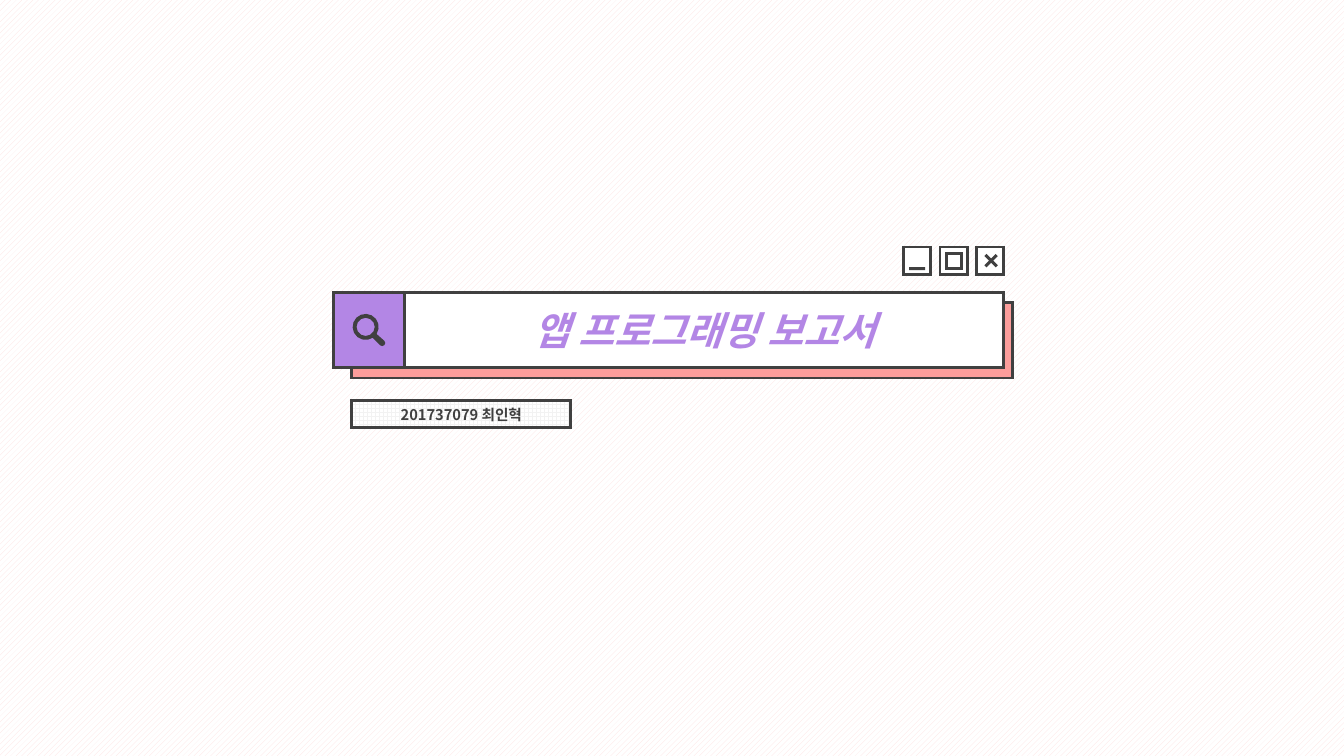
from math import cos, sin, radians
from lxml import etree
from pptx import Presentation
from pptx.dml.color import RGBColor
from pptx.enum import dml, shapes, text
from pptx.oxml import ns
from pptx.util import Pt

INK = {"dark": "404040", "white": "FFFFFF", "coral": "FB9D9B",
       "purple": "B386E5", "grid": "F2F2F2", "stripe": "FEDFDE"}
FONT = "Noto Sans CJK KR"


def hue(name):
    return RGBColor.from_string(INK[name])


def box(x, y, w, h, fill, edge=True, words="", size=0, tint="dark", slant=False):
    item = slide.shapes.add_shape(shapes.MSO_SHAPE.RECTANGLE, Pt(x), Pt(y), Pt(w), Pt(h))
    item.shadow.inherit = False
    item.fill.solid()
    item.fill.fore_color.rgb = hue(fill)
    if edge:
        item.line.color.rgb = hue("dark")
        item.line.width = Pt(2)
        # Sharp corners
        stroke = item.line._get_or_add_ln()
        etree.SubElement(stroke, ns.qn("a:miter")).set("lim", "800000")
    else:
        item.line.fill.background()
    if words:
        item.text_frame.vertical_anchor = text.MSO_ANCHOR.MIDDLE
        para = item.text_frame.paragraphs[0]
        para.text = words
        para.alignment = text.PP_ALIGN.CENTER
        font = para.font
        font.size, font.bold, font.italic, font.name = Pt(size), True, slant, FONT
        font.color.rgb = hue(tint)
        # Korean letters take the East Asian font
        rpr = para.runs[0]._r.get_or_add_rPr()
        rpr.set("kern", "0")
        for tag in ("a:latin", "a:ea"):
            etree.SubElement(rpr, ns.qn(tag)).set("typeface", FONT)
    return item


deck = Presentation()
deck.slide_width, deck.slide_height = Pt(960), Pt(540)
slide = deck.slides.add_slide(deck.slide_layouts[6])

# Striped background
back = slide.background.fill
back.patterned()
back.pattern = dml.MSO_PATTERN.WIDE_UPWARD_DIAGONAL
back.fore_color.rgb, back.back_color.rgb = hue("stripe"), hue("white")

# Window buttons: minimise, maximise, close
left, top, step, side = 645.2, 176.4, 26.2, 19.5
for i in range(3):
    box(left + i * step, top, side, side, "white")
box(left + step + 4.4, top + 4.4, 10.8, 10.8, "white")
box(left + 4.2, top + 14.4, 11.5, 2.2, "dark", edge=False)
for turn in (45, 315):
    bar = box(left + 2 * step + 4.6, top + 8.7, 11.5, 2.2, "dark", edge=False)
    bar.rotation = turn

# Search bar with its offset shade
box(251.3, 216, 472, 54, "coral")
box(238.3, 208.8, 50.7, 54, "purple")
box(289, 208.8, 428, 54, "white", words="앱 프로그래밍 보고서",
    size=28, tint="purple", slant=True)

# Magnifier: rim and handle in one outline, then the lens hole
lens, tip = (261.2, 233.5), (273, 245)
rings = []
for arcs in ([(lens, 9.3, 57, 393, 14), (tip, 2.2, -45, 135, 4)],
             [(lens, 6.5, 360, 0, 12)]):
    rings.append([(Pt(x + r * cos(radians(a + (b - a) * k / n))),
                   Pt(y + r * sin(radians(a + (b - a) * k / n))))
                  for (x, y), r, a, b, n in arcs for k in range(n + 1)])
rim, hole = rings
pen = slide.shapes.build_freeform(*rim[0])
pen.add_line_segments(rim[1:])
pen.move_to(*hole[0])
pen.add_line_segments(hole[1:-1])
glass = pen.convert_to_shape()
glass.shadow.inherit = False
glass.fill.solid()
glass.fill.fore_color.rgb = hue("dark")
glass.line.fill.background()

# Author label
label = box(251.2, 286.2, 156.6, 19.4, "white", words="201737079 최인혁", size=10.5)
label.fill.patterned()
label.fill.pattern = dml.MSO_PATTERN.LARGE_GRID
label.fill.fore_color.rgb, label.fill.back_color.rgb = hue("grid"), hue("white")

deck.save("out.pptx")
